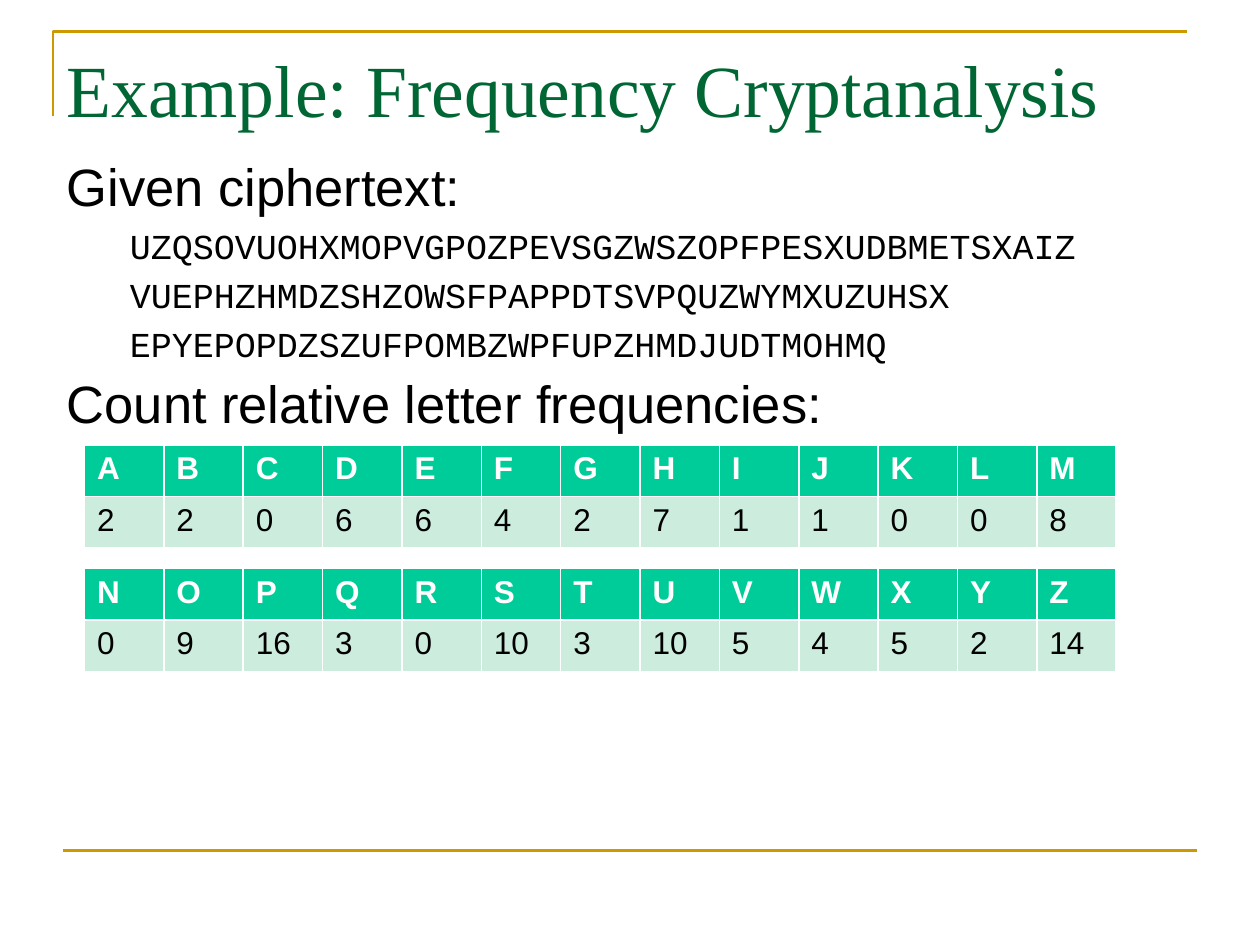
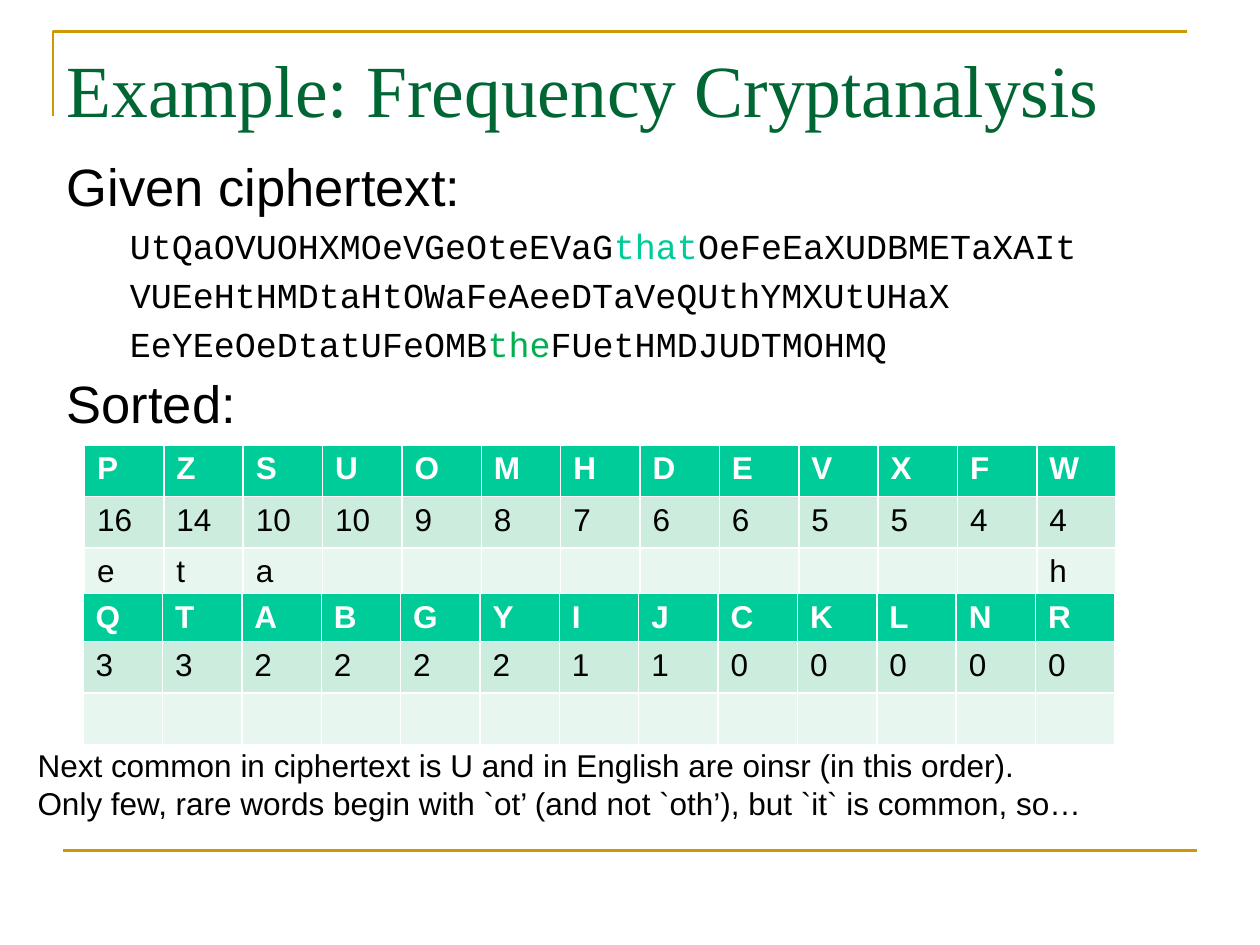
from dataclasses import dataclass

from lxml import etree
from pptx import Presentation
from pptx.dml.color import RGBColor
from pptx.enum.shapes import MSO_CONNECTOR
from pptx.enum.text import MSO_ANCHOR, MSO_AUTO_SIZE, PP_ALIGN
from pptx.oxml.ns import qn
from pptx.util import Inches, Pt

STRAIGHT = MSO_CONNECTOR.STRAIGHT
TOP = MSO_ANCHOR.TOP
LEFT = PP_ALIGN.LEFT
NO_FIT, GROW = MSO_AUTO_SIZE.NONE, MSO_AUTO_SIZE.SHAPE_TO_FIT_TEXT


@dataclass(frozen=True)
class Theme:
    rule: str = "CC9900"
    title: str = "006633"
    ink: str = "000000"
    header_ink: str = "FFFFFF"
    header_fill: str = "00CC99"
    row_fills: tuple = ("CCECDE", "E7F6EF")
    guess: str = "00CC99"
    confirmed: str = "00B050"
    title_font: str = "Times New Roman"
    body_font: str = "Arial"
    cipher_font: str = "Courier New"
    title_size: int = 42
    heading_size: int = 30
    cipher_size: int = 20
    small_size: int = 18


THEME = Theme()
TITLE = "Example: Frequency Cryptanalysis"
TITLE_BOX = (0.43, 0.3, 9.07, 1.5)
BODY_BOX = (0.43, 1.23, 9.42, 2.3)
TABLE_WIDTH, ROW_HEIGHT = 8.19, 0.41
LETTERS = "ABCDEFGHIJKLMNOPQRSTUVWXYZ"
COUNTS = dict(zip(LETTERS, (2, 2, 0, 6, 6, 4, 2, 7, 1, 1, 0, 0, 8,
                            0, 9, 16, 3, 0, 10, 3, 10, 5, 4, 5, 2, 14)))
RANKED = "".join(sorted(LETTERS, key=lambda letter: (-COUNTS[letter], letter)))
HALF = len(LETTERS) // 2
DECODED = {"P": "e", "Z": "t", "S": "a", "W": "h"}
CIPHERTEXT = (
    ("UZQSOVUOHXMOPVGPOZPEVSGZWSZOPFPESXUDBMETSXAIZ", "", THEME.ink),
    ("VUEPHZHMDZSHZOWSFPAPPDTSVPQUZWYMXUZUHSX", "", THEME.ink),
    ("EPYEPOPDZSZUFPOMBZWPFUPZHMDJUDTMOHMQ", "", THEME.ink),
)
PARTLY_DECODED = (
    ("UtQaOVUOHXMOeVGeOteEVaGthatOeFeEaXUDBMETaXAIt", "that", THEME.guess),
    ("VUEeHtHMDtaHtOWaFeAeeDTaVeQUthYMXUtUHaX", "", THEME.ink),
    ("EeYEeOeDtatUFeOMBtheFUetHMDJUDTMOHMQ", "the", THEME.confirmed),
)
NEXT_STEP = ("Next common in ciphertext is U and in English are oinsr (in this order).\n"
             "Only few, rare words begin with `ot’ (and not `oth’), but `it` is common, so…")


def style_runs(paragraph, font, size, color, bold=False):
    for run in paragraph.runs:
        run.font.name = font
        run.font.size = Pt(size)
        run.font.bold = bold
        run.font.color.rgb = RGBColor.from_string(color)


def place(shape, box):
    shape.left, shape.top, shape.width, shape.height = map(Inches, box)


def style_rule(rule):
    rule.line.color.rgb = RGBColor.from_string(THEME.rule)
    rule.line.width = Pt(1.5)


def draw_frame(slide, left=0.42, top=0.25, width=9, drop=0.67, footer_top=6.75):
    outline = slide.shapes.build_freeform(Inches(left), Inches(top + drop))
    outline.add_line_segments(
        [(Inches(left), Inches(top)), (Inches(left + width), Inches(top))], close=False)
    corner = outline.convert_to_shape()
    corner.fill.background()
    corner.shadow.inherit = False
    footer = slide.shapes.add_connector(
        STRAIGHT, Inches(0.5), Inches(footer_top), Inches(0.5 + width), Inches(footer_top))
    for rule in (corner, footer):
        style_rule(rule)
    etree.SubElement(footer._element.spPr, qn("a:effectLst"))


def fill_title(slide, box):
    title = slide.shapes.title
    place(title, box)
    frame = title.text_frame
    frame.text = TITLE
    frame.vertical_anchor = TOP
    frame.auto_size = NO_FIT
    frame.paragraphs[0].alignment = LEFT
    style_runs(frame.paragraphs[0], THEME.title_font, THEME.title_size, THEME.title)


def set_paragraph(paragraph, level, margin, hanging, before):
    paragraph.level = level
    paragraph.line_spacing = 0.9
    paragraph.space_before = Pt(before)
    properties = paragraph._p.get_or_add_pPr()
    properties.set("marL", str(Inches(margin)))
    properties.set("indent", str(-Inches(hanging)))
    etree.SubElement(properties, qn("a:buNone"))


def add_heading(paragraph, heading):
    paragraph.text = heading
    set_paragraph(paragraph, 0, 0.38, 0.38, 7.5)
    style_runs(paragraph, THEME.body_font, THEME.heading_size, THEME.ink)


def add_cipher_line(paragraph, line, word, word_color):
    parts = line.partition(word) if word else (line,)
    for part in parts:
        paragraph.add_run().text = part
    set_paragraph(paragraph, 1, 0.81, 0.31, 6.5)
    style_runs(paragraph, THEME.cipher_font, THEME.cipher_size, THEME.ink)
    if word:
        paragraph.runs[1].font.color.rgb = RGBColor.from_string(word_color)


def fill_body(slide, box, cipher_lines, table_heading):
    body = slide.placeholders[1]
    place(body, box)
    frame = body.text_frame
    frame.auto_size = NO_FIT
    add_heading(frame.paragraphs[0], "Given ciphertext:")
    for cipher_line in cipher_lines:
        add_cipher_line(frame.add_paragraph(), *cipher_line)
    add_heading(frame.add_paragraph(), table_heading)


def add_frequency_table(slide, left, top, letters, decoded=None, header_height=ROW_HEIGHT):
    rows = [letters, [str(COUNTS[letter]) for letter in letters]]
    if decoded is not None:
        rows.append([decoded.get(letter, "") for letter in letters])
    height = header_height + ROW_HEIGHT * (len(rows) - 1)
    table = slide.shapes.add_table(
        len(rows), len(letters), Inches(left), Inches(top),
        Inches(TABLE_WIDTH), Inches(height)).table
    for column in table.columns:
        column.width = Inches(TABLE_WIDTH / len(letters))
    fills = (THEME.header_fill, *THEME.row_fills)
    for index, (values, fill) in enumerate(zip(rows, fills)):
        is_header = index == 0
        table.rows[index].height = Inches(header_height if is_header else ROW_HEIGHT)
        ink = THEME.header_ink if is_header else THEME.ink
        for cell, value in zip(table.rows[index].cells, values):
            cell.fill.solid()
            cell.fill.fore_color.rgb = RGBColor.from_string(fill)
            if value:
                cell.text_frame.text = value
                style_runs(cell.text_frame.paragraphs[0], THEME.body_font,
                           THEME.small_size, ink, is_header)


def add_next_step(slide, box):
    note = slide.shapes.add_textbox(*map(Inches, box))
    frame = note.text_frame
    frame.word_wrap = False
    frame.auto_size = GROW
    paragraph = frame.paragraphs[0]
    paragraph.text = NEXT_STEP
    style_runs(paragraph, THEME.body_font, THEME.small_size, THEME.ink)


def start_slide(deck, cipher_lines, table_heading):
    slide = deck.slides.add_slide(deck.slide_layouts[1])
    draw_frame(slide)
    fill_title(slide, TITLE_BOX)
    fill_body(slide, BODY_BOX, cipher_lines, table_heading)
    return slide


def build_count_slide(deck):
    slide = start_slide(deck, CIPHERTEXT, "Count relative letter frequencies:")
    add_frequency_table(slide, 0.67, 3.53, LETTERS[:HALF])
    add_frequency_table(slide, 0.67, 4.51, LETTERS[HALF:])


def build_sorted_slide(deck):
    slide = start_slide(deck, PARTLY_DECODED, "Sorted:")
    add_frequency_table(slide, 0.67, 3.53, RANKED[:HALF], DECODED)
    add_frequency_table(slide, 0.66, 4.71, RANKED[HALF:], {}, header_height=0.33)
    add_next_step(slide, (0.2, 5.87, 8.57, 0.71))


def main():
    deck = Presentation()
    deck.slide_width, deck.slide_height = Inches(10), Inches(7.5)
    build_count_slide(deck)
    build_sorted_slide(deck)
    deck.save("out.pptx")


if __name__ == "__main__":
    main()
